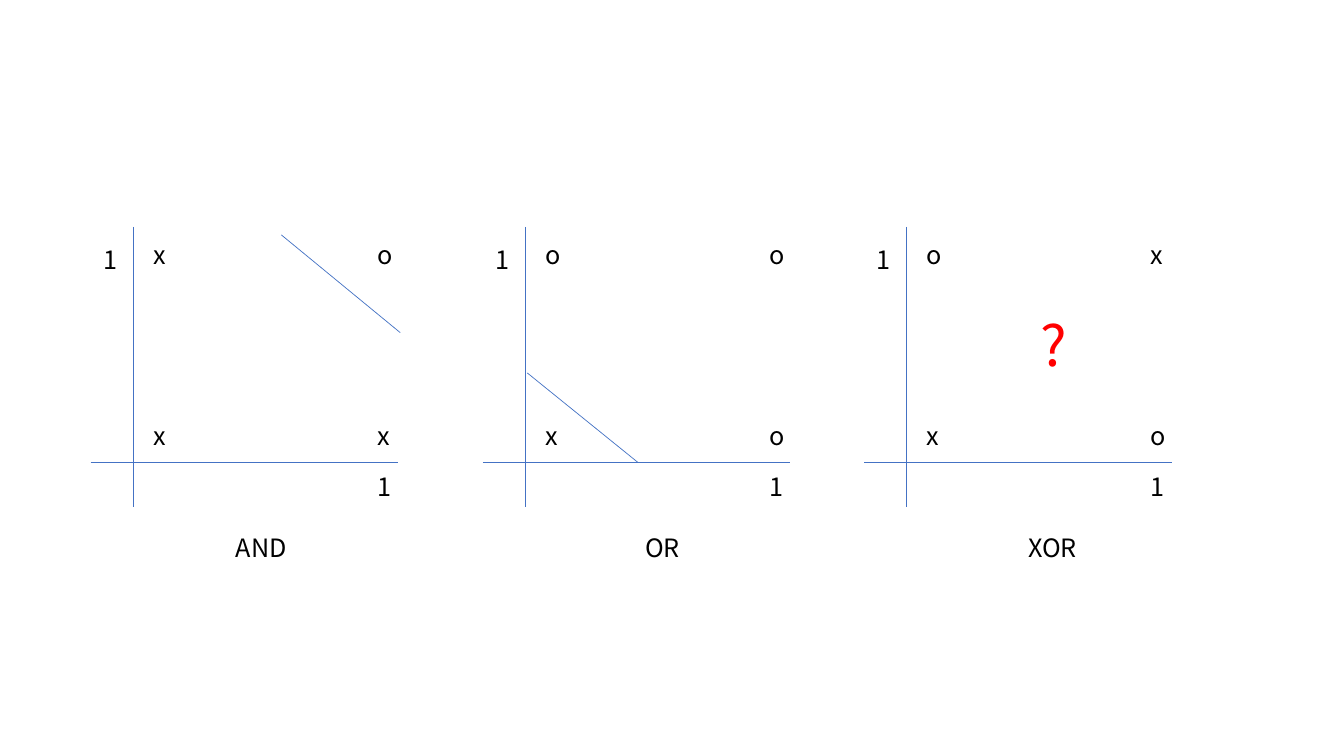
from dataclasses import dataclass
from lxml import etree
from pptx import Presentation
from pptx import util as u
from pptx.dml.color import RGBColor
from pptx.enum import shapes, text
from pptx.oxml.ns import qn


@dataclass(frozen=True)
class Theme:
    font: str = "Noto Sans CJK KR"
    ink: str = "000000"
    alert: str = "FF0000"
    axis: str = "4472C4"
    body: int = 18
    large: int = 40
    line: float = 0.5


class Canvas:
    cell = u.Inches(0.1)

    def __init__(self, page, theme):
        self.page = page
        self.theme = theme

    def cells(self, *counts):
        return [round(count * self.cell) for count in counts]

    def line(self, start, end):
        line = self.page.shapes.add_connector(
            shapes.MSO_CONNECTOR.STRAIGHT, *self.cells(*start, *end))
        line.line.color.rgb = RGBColor.from_string(self.theme.axis)
        line.line.width = u.Pt(self.theme.line)
        etree.SubElement(line._element.spPr, qn("a:effectLst"))

    def label(self, words, place, width, height=4, size=None, color=None):
        box = self.page.shapes.add_textbox(*self.cells(*place, width, height))
        frame = box.text_frame
        para = frame.paragraphs[0]
        span = para.add_run()
        span.text = words
        formats = {
            frame: {"word_wrap": False,
                    "auto_size": text.MSO_AUTO_SIZE.SHAPE_TO_FIT_TEXT},
            span.font: {"name": self.theme.font,
                        "size": u.Pt(size or self.theme.body)},
            span.font.color: {
                "rgb": RGBColor.from_string(color or self.theme.ink)},
        }
        for target, values in formats.items():
            for name, value in values.items():
                setattr(target, name, value)

    def plot(self, origin, gate):
        def at(point):
            return origin[0] + point[0], origin[1] + point[1]

        for start, end in AXES + gate["boundary"]:
            self.line(at(start), at(end))
        for mark, corner in zip(gate["marks"], CORNERS):
            self.label(mark, at(corner), MARK_WIDTHS[mark])
        for tick in TICKS:
            self.label("1", at(tick), MARK_WIDTHS["1"])
        self.label(gate["name"], at((gate["name_left"], 6.4)), gate["name_width"])
        if not gate["boundary"]:
            self.label("?", at((12.3, -15.6)), 4.6, 7.7,
                       self.theme.large, self.theme.alert)


AXES = [((0, -23.4), (0, 4.4)), ((-4.2, 0), (26.3, 0))]
CORNERS = [(x, y) for y in (-22.6, -4.7) for x in (1.05, 23.25)]
TICKS = [(-3.9, -22.2), (23.25, 0.4)]
MARK_WIDTHS = {"x": 3.2, "o": 3.5, "1": 3.4}
AXIS_ROW = 45.9
GATES = [
    {"name": "AND", "column": 13.2, "marks": "xoxx",
     "name_left": 9.2, "name_width": 7.4,
     "boundary": [((14.7, -22.6), (26.5, -12.9))]},
    {"name": "OR", "column": 52.1, "marks": "ooxo",
     "name_left": 10.9, "name_width": 5.5,
     "boundary": [((0.2, -8.9), (11.2, 0))]},
    {"name": "XOR", "column": 89.9, "marks": "oxxo",
     "name_left": 11.1, "name_width": 7, "boundary": []},
]

deck = Presentation()
deck.slide_width, deck.slide_height = u.Inches(13.33), u.Inches(7.5)
canvas = Canvas(deck.slides.add_slide(deck.slide_layouts[6]), Theme())
for gate in GATES:
    canvas.plot((gate["column"], AXIS_ROW), gate)
deck.save("out.pptx")
